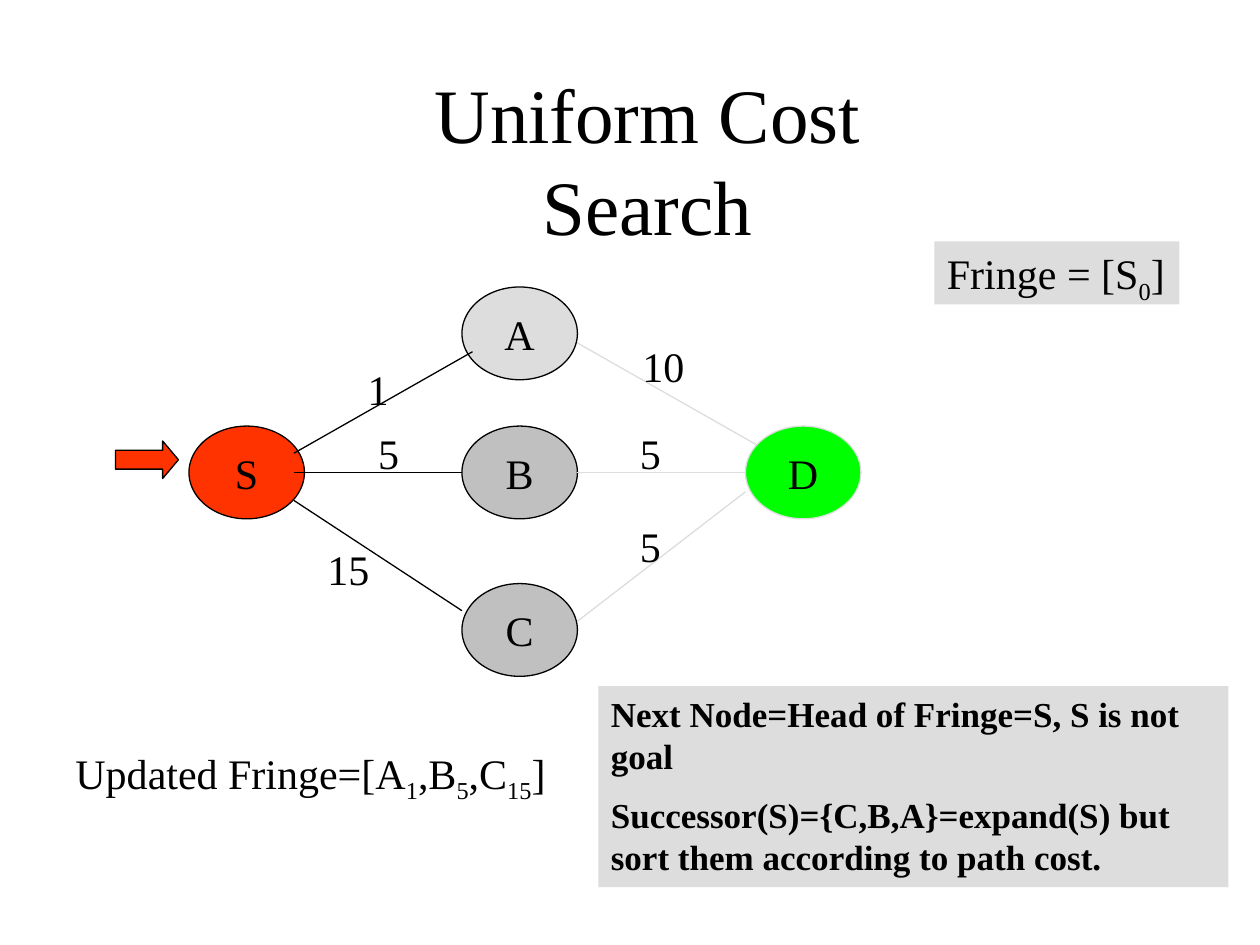
from lxml import etree
from pptx import Presentation
from pptx.dml.color import RGBColor
from pptx.enum.shapes import MSO_CONNECTOR, MSO_SHAPE
from pptx.enum.text import MSO_ANCHOR, PP_ALIGN
from pptx.oxml.ns import qn
from pptx.util import Pt

OVAL, RECTANGLE, ARROW = MSO_SHAPE.OVAL, MSO_SHAPE.RECTANGLE, MSO_SHAPE.RIGHT_ARROW
STRAIGHT = MSO_CONNECTOR.STRAIGHT
LEFT, CENTER = PP_ALIGN.LEFT, PP_ALIGN.CENTER
TOP, MIDDLE = MSO_ANCHOR.TOP, MSO_ANCHOR.MIDDLE

FONT = "Times New Roman"
BLACK, WHITE, RED, GREEN = "000000", "FFFFFF", "FF3300", "00FF00"
LIGHT, GRAY = "DDDDDD", "C0C0C0"
NODE_WIDTH, NODE_HEIGHT = 66, 53

# name, centre x, centre y, fill, outline
NODES = [
    ("S", 141, 270, RED, BLACK),
    ("A", 297, 190.5, LIGHT, BLACK),
    ("B", 297, 270, GRAY, BLACK),
    ("C", 297, 360, GRAY, BLACK),
    ("D", 459, 270, GREEN, LIGHT),
]
# start, end, colour, cost, left and top of the cost label
EDGES = [
    ((168, 259), (270, 201), BLACK, "1", 203, 204),
    ((168, 270), (264, 270), BLACK, "5", 209, 241),
    ((168, 286), (264, 349), BLACK, "15", 180, 307),
    ((330, 196), (432, 254), LIGHT, "10", 360, 191),
    ((330, 270), (426, 270), LIGHT, "5", 358.5, 241),
    ((330, 355), (426, 281), LIGHT, "5", 358.5, 294),
]


def color(hex_string):
    return RGBColor.from_string(hex_string)


def write(shape, *paragraphs, size=24, bold=False, align=LEFT, anchor=TOP,
          wrap=False, space=0):
    """Fill a shape with paragraphs; text between underscores is subscript."""
    frame = shape.text_frame
    frame.word_wrap = wrap
    frame.vertical_anchor = anchor
    for index, text in enumerate(paragraphs):
        para = frame.add_paragraph() if index else frame.paragraphs[0]
        para.alignment = align
        if index:
            para.space_before = Pt(space)
        for part, words in enumerate(text.split("_")):
            span = para.add_run()
            span.text = words
            span.font.name = FONT
            span.font.size = Pt(size)
            span.font.bold = bold
            span.font.color.rgb = color(BLACK)
            if part % 2:
                span.font._element.set("baseline", "-25000")


def add_shape(page, kind, left, top, width, height, fill, outline=None):
    shape = page.shapes.add_shape(kind, Pt(left), Pt(top), Pt(width), Pt(height))
    shape.shadow.inherit = False
    shape.fill.solid()
    shape.fill.fore_color.rgb = color(fill)
    if outline:
        shape.line.color.rgb = color(outline)
        shape.line.width = Pt(0.75)
    else:
        shape.line.fill.background()
    return shape


def add_label(page, left, top, width, height, text, **text_format):
    box = page.shapes.add_textbox(Pt(left), Pt(top), Pt(width), Pt(height))
    write(box, text, **text_format)


def add_node(page, name, x, y, fill, outline):
    node = add_shape(page, OVAL, x - NODE_WIDTH / 2, y - NODE_HEIGHT / 2,
                     NODE_WIDTH, NODE_HEIGHT, fill, outline)
    write(node, name, align=CENTER, anchor=MIDDLE)


def add_edge(page, start, end, line_color):
    edge = page.shapes.add_connector(STRAIGHT, *map(Pt, start + end))
    edge.line.color.rgb = color(line_color)
    edge.line.width = Pt(0.75)
    etree.SubElement(edge._element.spPr, qn("a:effectLst"))


def main():
    deck = Presentation()
    deck.slide_width, deck.slide_height = Pt(720), Pt(540)
    page = deck.slides.add_slide(deck.slide_layouts[6])

    for node in NODES:
        add_node(page, *node)
    for start, end, line_color, *_ in EDGES:
        add_edge(page, start, end, line_color)
    for *_, cost, left, top in EDGES:
        add_label(page, left, top, 14.5 + 12 * len(cost), 36, cost)

    add_label(page, 180, 34.5, 380, 60, "Uniform Cost Search",
              size=44, align=CENTER, wrap=True)

    fringe = add_shape(page, RECTANGLE, 534, 138, 140, 36, LIGHT)
    write(fringe, "Fringe = [S_0_]")
    steps = add_shape(page, RECTANGLE, 342, 392, 360, 115, LIGHT)
    write(steps, "Next Node=Head of Fringe=S, S is not goal",
          "Successor(S)={C,B,A}=expand(S) but sort them according to path cost.",
          size=20, bold=True, wrap=True, space=10)
    updated = add_shape(page, RECTANGLE, 36, 423.5, 287, 36, WHITE)
    write(updated, "Updated Fringe=[A_1_,B_5_,C_15_]")

    pointer = add_shape(page, ARROW, 66, 252, 36, 21.5, RED, BLACK)
    pointer.adjustments[1] = 0.42

    deck.save("out.pptx")


if __name__ == "__main__":
    main()
